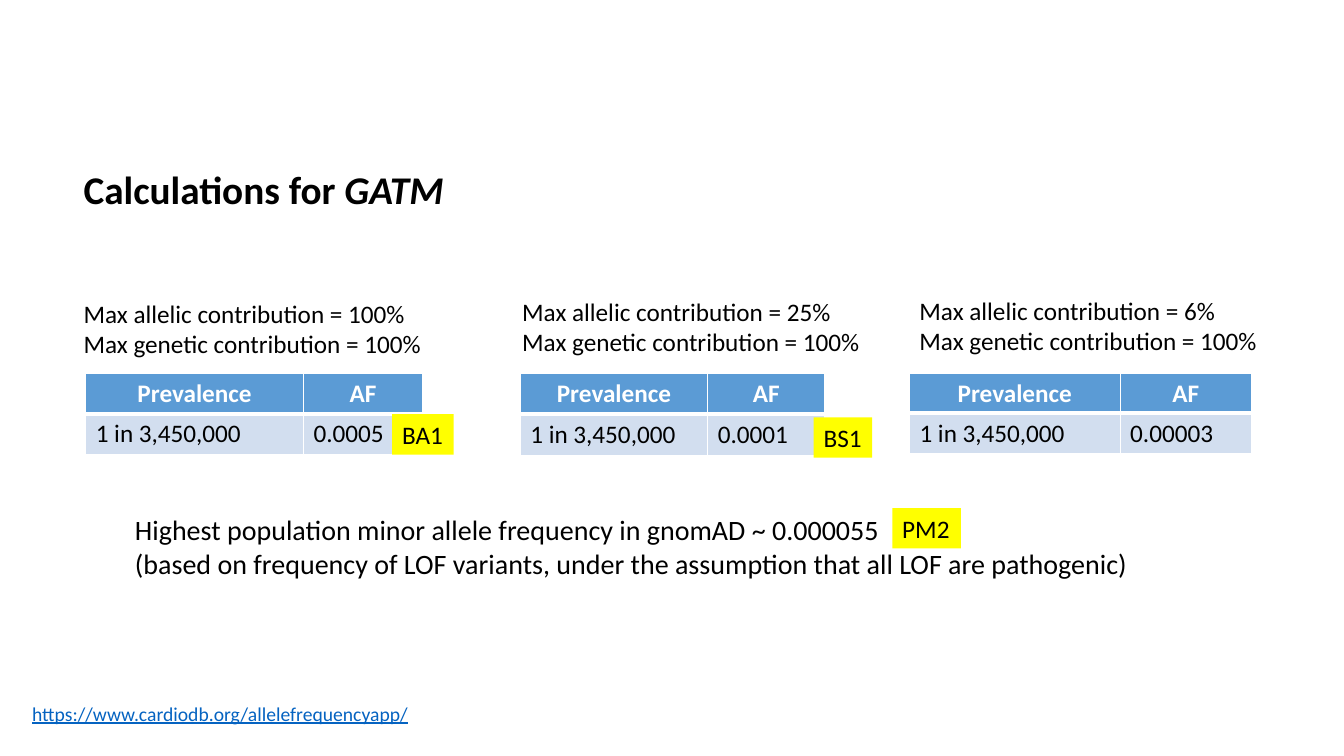
"""Build the slide of allele frequency calculations for GATM."""
from dataclasses import dataclass

import lxml.etree
import pptx
import pptx.dml.color
import pptx.enum.text
import pptx.oxml.ns
import pptx.util

Inches = pptx.util.Inches
RGBColor = pptx.dml.color.RGBColor
BLACK = RGBColor(0x00, 0x00, 0x00)
WHITE = RGBColor(0xFF, 0xFF, 0xFF)
HEADER_BLUE = RGBColor(0x5B, 0x9B, 0xD5)
ROW_BLUE = RGBColor(0xD2, 0xDE, 0xEF)
LINK_BLUE = RGBColor(0x05, 0x63, 0xC1)
YELLOW = RGBColor(0xFF, 0xFF, 0x00)
FONT_NAME = "Calibri"
TABLE_TOP = 3.7
PREVALENCE = "1 in 3,450,000"


@dataclass(frozen=True)
class Scenario:
    """One set of assumptions and the allele frequency it yields."""
    allelic_contribution: str
    frequency: str
    caption_left: float
    caption_top: float
    table_left: float
    column_widths: tuple[float, float]
    row_height: float


@dataclass(frozen=True)
class Label:
    """A free text box on the slide."""
    lines: tuple[str, ...]
    left: float
    top: float
    width: float
    height: float
    size: float = 18
    color: RGBColor = BLACK
    underline: bool = False
    fill: RGBColor | None = None


SCENARIOS = (
    Scenario("100%", "0.0005", 0.73, 2.91, 0.85, (2.16, 1.18), 0.4),
    Scenario("25%", "0.0001", 5.08, 2.89, 5.16, (1.86, 1.16), 0.41),
    Scenario("6%", "0.00003", 9.02, 2.88, 9.02, (2.09, 1.3), 0.4),
)

LABELS = (
    Label(("Highest population minor allele frequency in gnomAD ~ 0.000055",
           "(based on frequency of LOF variants, under the assumption that all LOF are pathogenic)"),
          1.24, 5.04, 10.06, 0.77, size=20),
    Label(("https://www.cardiodb.org/allelefrequencyapp/",), 0.22, 6.91, 3.97, 0.34,
          size=14, color=LINK_BLUE, underline=True),
    Label(("BA1",), 3.89, 4.11, 0.61, 0.4, fill=YELLOW),
    Label(("BS1",), 8.07, 4.14, 0.58, 0.4, fill=YELLOW),
    Label(("PM2",), 8.85, 5.04, 0.68, 0.4, fill=YELLOW),
)


def add_text(paragraph, text: str, *, size: float = 18, color: RGBColor = BLACK,
             bold: bool = False, italic: bool = False, underline: bool = False) -> None:
    """Append a formatted run to a paragraph."""
    run = paragraph.add_run()
    run.text = text
    font = run.font
    font.name = FONT_NAME
    font.size = pptx.util.Pt(size)
    font.color.rgb = color
    font.bold = bold
    font.italic = italic
    font.underline = underline


def add_label(slide, label: Label) -> None:
    """Draw a text box with one paragraph for each line."""
    shape = slide.shapes.add_textbox(Inches(label.left), Inches(label.top),
                                     Inches(label.width), Inches(label.height))
    if label.fill is not None:
        shape.fill.solid()
        shape.fill.fore_color.rgb = label.fill
    frame = shape.text_frame
    frame.word_wrap = False
    frame.auto_size = pptx.enum.text.MSO_AUTO_SIZE.SHAPE_TO_FIT_TEXT
    for index, line in enumerate(label.lines):
        paragraph = frame.add_paragraph() if index else frame.paragraphs[0]
        add_text(paragraph, line, size=label.size, color=label.color, underline=label.underline)


def set_borders(cell, *, top: float, bottom: float) -> None:
    """Give a cell white borders, with top and bottom widths in points."""
    properties = cell._tc.get_or_add_tcPr()
    qualified_name = pptx.oxml.ns.qn
    for side, width in (("L", 1), ("R", 1), ("T", top), ("B", bottom)):
        line = lxml.etree.SubElement(properties, qualified_name(f"a:ln{side}"),
                                     w=str(pptx.util.Pt(width)))
        fill = lxml.etree.SubElement(line, qualified_name("a:solidFill"))
        lxml.etree.SubElement(fill, qualified_name("a:srgbClr"), val=str(WHITE))


def add_scenario(slide, scenario: Scenario) -> None:
    """Draw the table of a scenario and the caption above it."""
    rows = (("Prevalence", "AF"), (PREVALENCE, scenario.frequency))
    table = slide.shapes.add_table(
        len(rows), len(scenario.column_widths), Inches(scenario.table_left), Inches(TABLE_TOP),
        Inches(sum(scenario.column_widths)), Inches(scenario.row_height * len(rows))).table
    for column, width in zip(table.columns, scenario.column_widths):
        column.width = Inches(width)
    for row_index, texts in enumerate(rows):
        is_header = row_index == 0
        for column_index, text in enumerate(texts):
            cell = table.cell(row_index, column_index)
            set_borders(cell, top=1 if is_header else 3, bottom=3 if is_header else 1)
            cell.fill.solid()
            cell.fill.fore_color.rgb = HEADER_BLUE if is_header else ROW_BLUE
            paragraph = cell.text_frame.paragraphs[0]
            if is_header:
                paragraph.alignment = pptx.enum.text.PP_ALIGN.CENTER
            add_text(paragraph, text, color=WHITE if is_header else BLACK, bold=is_header)
    caption = (f"Max allelic contribution = {scenario.allelic_contribution}",
               "Max genetic contribution = 100%")
    add_label(slide, Label(caption, scenario.caption_left, scenario.caption_top, 3.59, 0.71))


def add_title(slide) -> None:
    """Place and fill the title placeholder."""
    title = slide.shapes.title
    title.left, title.top = Inches(0.73), Inches(1.16)
    title.width, title.height = Inches(5.28), Inches(1.49)
    title.text_frame.vertical_anchor = pptx.enum.text.MSO_ANCHOR.MIDDLE
    paragraph = title.text_frame.paragraphs[0]
    paragraph.alignment = pptx.enum.text.PP_ALIGN.LEFT
    paragraph.line_spacing = 0.9
    add_text(paragraph, "Calculations for ", size=28, bold=True)
    add_text(paragraph, "GATM", size=28, bold=True, italic=True)


def main() -> None:
    """Create the presentation and save it."""
    presentation = pptx.Presentation()
    presentation.slide_width = Inches(13.33)
    presentation.slide_height = Inches(7.5)
    slide = presentation.slides.add_slide(presentation.slide_layouts.get_by_name("Title Only"))
    add_title(slide)
    for scenario in SCENARIOS:
        add_scenario(slide, scenario)
    for label in LABELS:
        add_label(slide, label)
    presentation.save("out.pptx")


if __name__ == "__main__":
    main()
